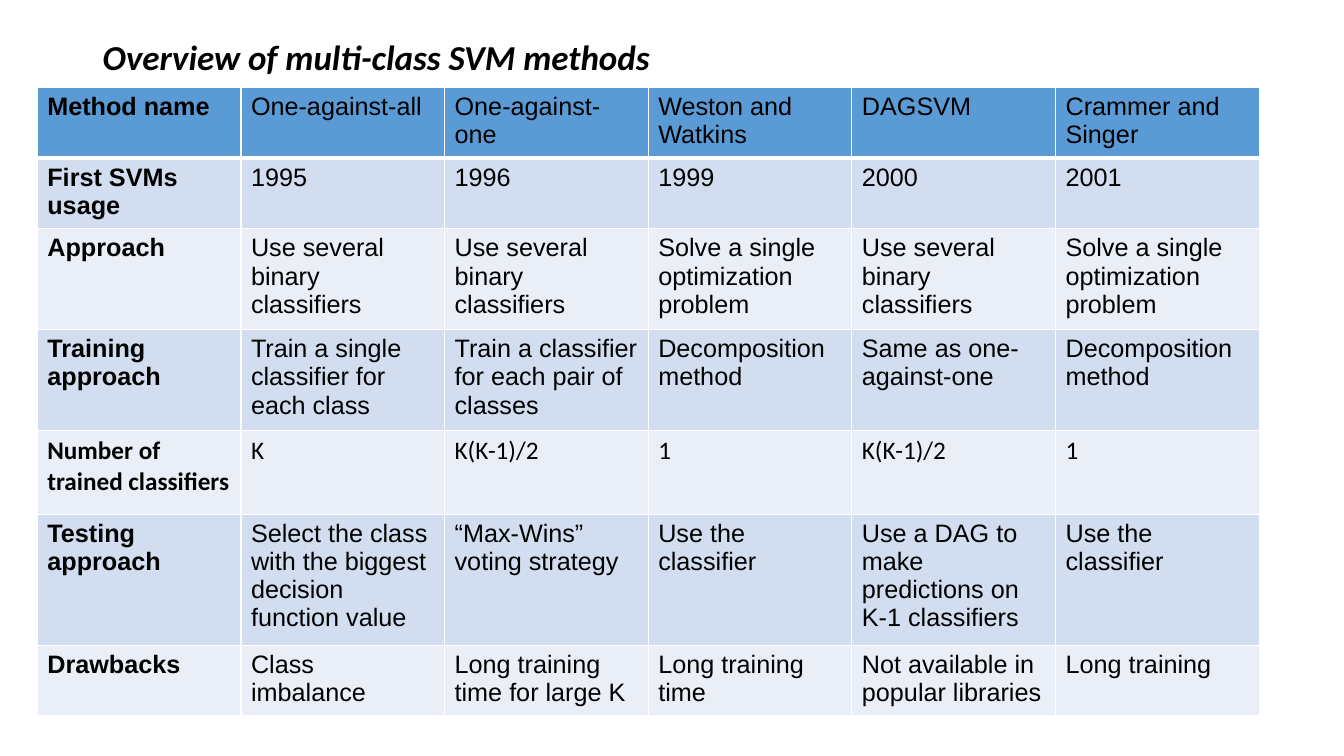
from lxml import etree
from pptx import Presentation
from pptx import util as u
from pptx.dml.color import RGBColor
from pptx.enum import text
from pptx.oxml import ns

TITLE = "Overview of multi-class SVM methods"
METHODS = [
    ("Method name", "One-against-all", "One-against-one", "Weston and Watkins",
     "DAGSVM", "Crammer and Singer"),
    ("First SVMs usage", "1995", "1996", "1999", "2000", "2001"),
    ("Approach", "Use several binary classifiers", "Use several binary classifiers",
     "Solve a single optimization problem", "Use several binary classifiers",
     "Solve a single optimization problem"),
    ("Training approach", "Train a single classifier for each class",
     "Train a classifier for each pair of classes", "Decomposition method",
     "Same as one-against-one", "Decomposition method"),
    ("Number of trained classifiers", "K", "K(K-1)/2", "1", "K(K-1)/2", "1"),
    ("Testing approach", "Select the class with the biggest decision function value",
     "“Max-Wins” voting strategy", "Use the classifier",
     "Use a DAG to make predictions on K-1 classifiers", "Use the classifier"),
    ("Drawbacks", "Class imbalance", "Long training time for large K",
     "Long training time", "Not available in popular libraries", "Long training"),
]
ROW_HEIGHTS = [0.66, 0.69, 0.94, 0.94, 0.83, 1.22, 0.66]
COLUMN_WIDTH = 2.02
CALIBRI_ROW = 4
COLORS = {"text": "000000", "line": "FFFFFF", "header": "5B9BD5",
          "odd": "D2DEEF", "even": "EAEFF7"}


def write(frame, words, size=18, font="Arial", bold=False, italic=False, spacing=None):
    frame.word_wrap = True
    paragraph = frame.paragraphs[0]
    paragraph.line_spacing = spacing
    run = paragraph.add_run()
    run.text = words
    run.font.size = u.Pt(size)
    run.font.name = font
    run.font.bold = bold
    run.font.italic = italic
    run.font.color.rgb = RGBColor.from_string(COLORS["text"])


def add_borders(cell, bottom):
    properties = cell._tc.get_or_add_tcPr()
    for side, width in (("L", 1), ("R", 1), ("T", 1), ("B", bottom)):
        line = etree.SubElement(properties, ns.qn(f"a:ln{side}"), w=str(u.Pt(width)))
        fill = etree.SubElement(line, ns.qn("a:solidFill"))
        etree.SubElement(fill, ns.qn("a:srgbClr"), val=COLORS["line"])


def add_title(slide):
    title = slide.shapes.add_textbox(u.Inches(0.92), u.Inches(0.4),
                                     u.Inches(11.5), u.Inches(0.38))
    title.text_frame.vertical_anchor = text.MSO_ANCHOR.MIDDLE
    write(title.text_frame, TITLE, size=25, font="Calibri",
          bold=True, italic=True, spacing=0.9)


def add_methods_table(slide):
    columns = len(METHODS[0])
    table = slide.shapes.add_table(
        len(METHODS), columns, u.Inches(0.37), u.Inches(0.87),
        u.Inches(columns * COLUMN_WIDTH), u.Inches(sum(ROW_HEIGHTS))).table
    for column in table.columns:
        column.width = u.Inches(COLUMN_WIDTH)
    for row, (entries, height) in enumerate(zip(METHODS, ROW_HEIGHTS)):
        table.rows[row].height = u.Inches(height)
        band = "header" if row == 0 else "odd" if row % 2 else "even"
        for column, words in enumerate(entries):
            cell = table.cell(row, column)
            add_borders(cell, bottom=3 if row == 0 else 1)
            cell.fill.solid()
            cell.fill.fore_color.rgb = RGBColor.from_string(COLORS[band])
            write(cell.text_frame, words, bold=column == 0,
                  font="Calibri" if row == CALIBRI_ROW else "Arial")


def main():
    presentation = Presentation()
    presentation.slide_width = u.Inches(13.33)
    presentation.slide_height = u.Inches(7.5)
    slide = presentation.slides.add_slide(presentation.slide_layouts[6])
    add_title(slide)
    add_methods_table(slide)
    presentation.save("out.pptx")


if __name__ == "__main__":
    main()
